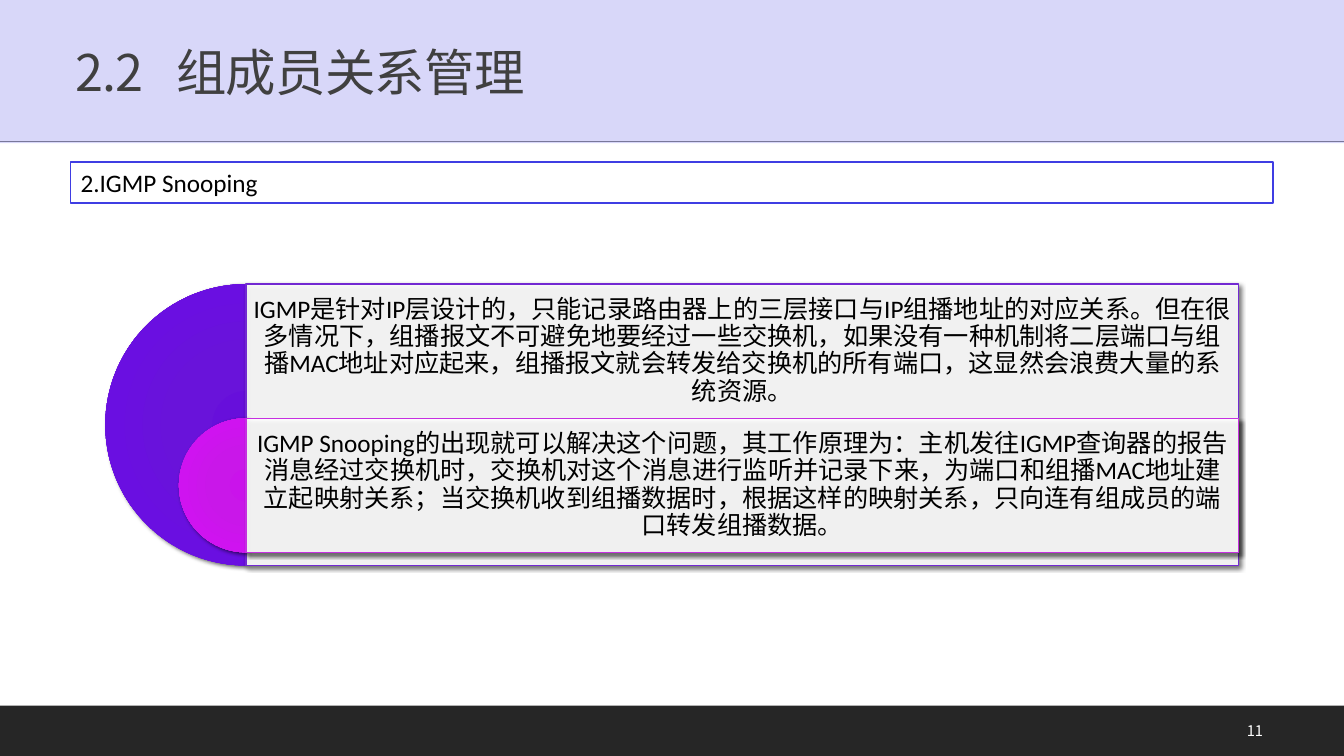
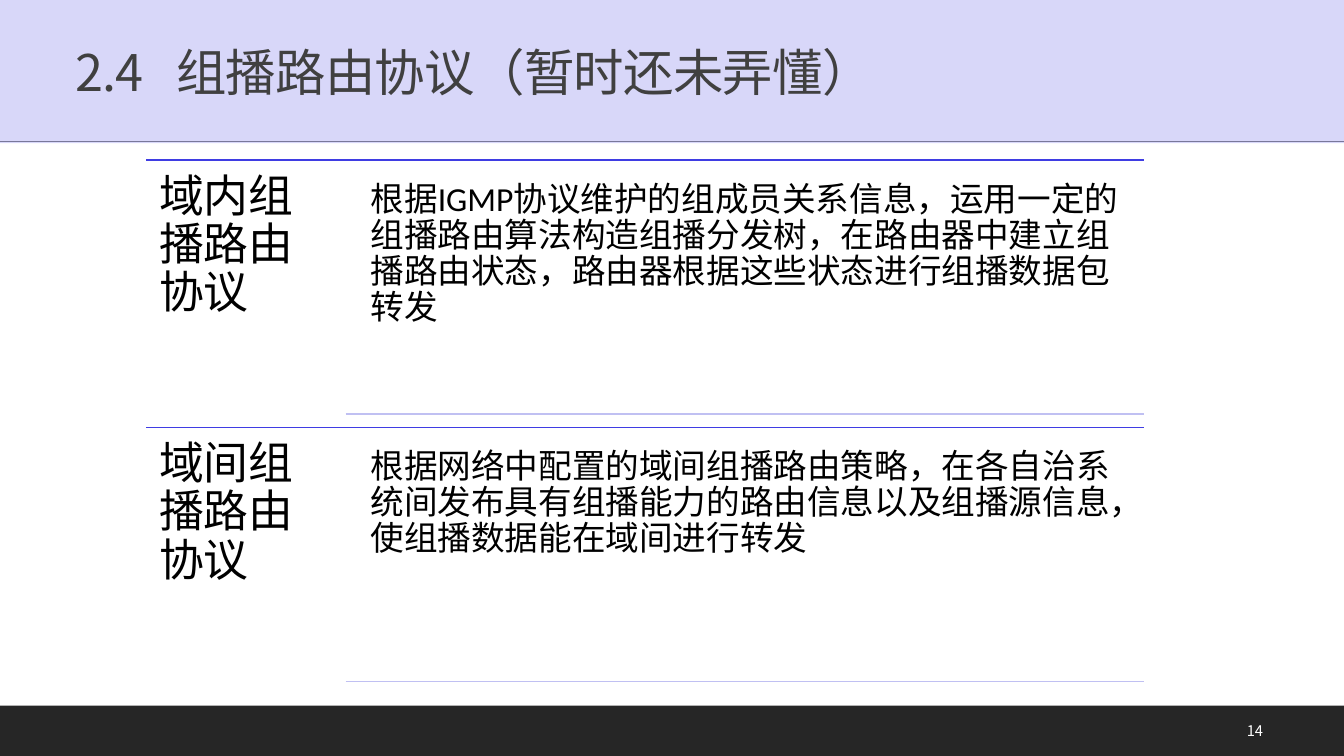
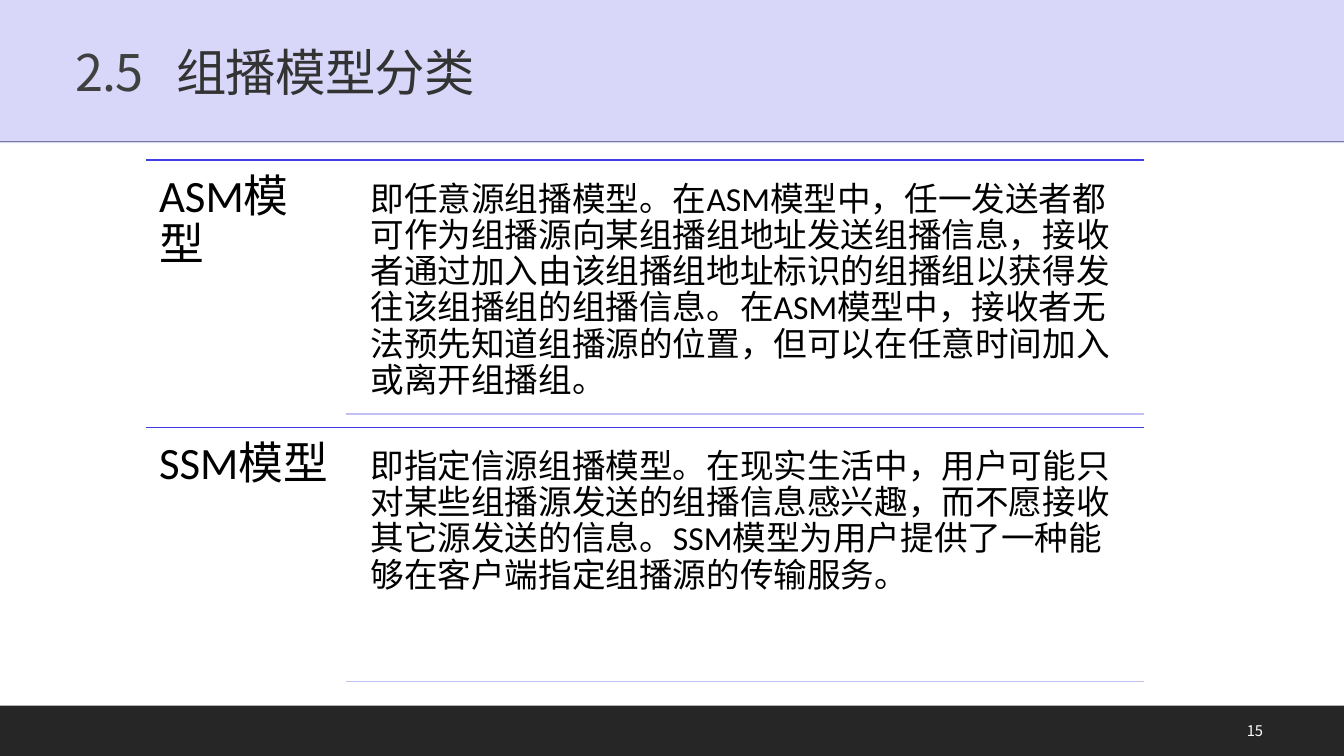
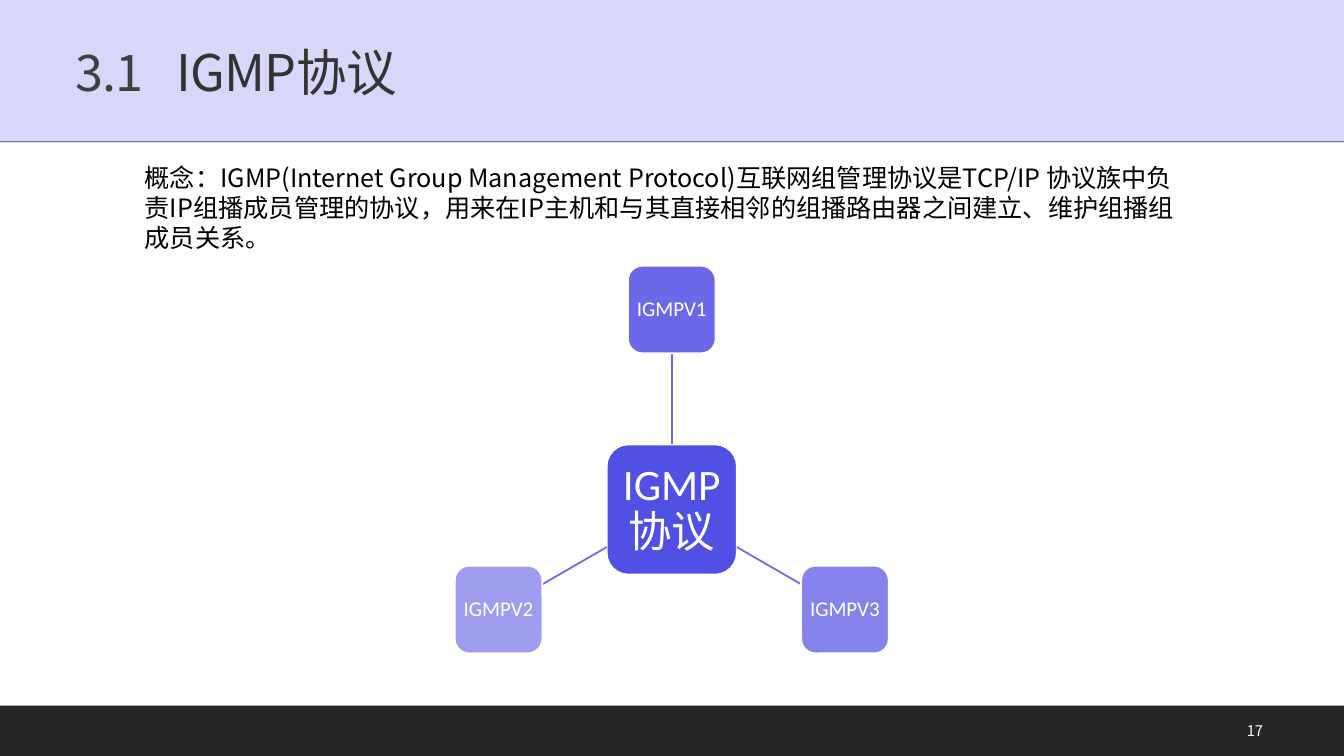
from math import cos, radians, sin

from pptx import Presentation
from pptx.dml.color import RGBColor
from pptx.enum.shapes import MSO_CONNECTOR, MSO_SHAPE
from pptx.enum.text import MSO_ANCHOR, MSO_AUTO_SIZE, PP_ALIGN
from pptx.oxml import parse_xml
from pptx.oxml.ns import nsdecls, qn
from pptx.util import Cm, Pt
from lxml import etree

STRAIGHT = MSO_CONNECTOR.STRAIGHT
RECT, ROUND, PIE = MSO_SHAPE.RECTANGLE, MSO_SHAPE.ROUNDED_RECTANGLE, MSO_SHAPE.PIE
LEFT, CENTER, RIGHT = PP_ALIGN.LEFT, PP_ALIGN.CENTER, PP_ALIGN.RIGHT
TOP, MIDDLE = MSO_ANCHOR.TOP, MSO_ANCHOR.MIDDLE

COLORS = {
    "white": "FFFFFF", "black": "000000", "footer": "262626",
    "title": "404040", "title_dark": "333333", "title_band": "B2B1F4",
    "blue": "3F3DE3", "pale_blue": "C0C0F2", "spoke": "6B6AE6",
    "violet": "7229D2", "magenta": "C62FE1",
}
SANS, BODY = "Noto Sans CJK SC", "Calibri"
WIDTH, HEIGHT = 33.87, 19.05


def style(shape, line=None, weight=1.25, fill=None, opacity=100, shadow=False):
    """Set outline, fill and shadow of a shape or connector."""
    if line:
        shape.line.color.rgb = RGBColor.from_string(COLORS[line])
        shape.line.width = Pt(weight)
    else:
        shape.line.fill.background()
    if fill:
        shape.fill.solid()
        shape.fill.fore_color.rgb = RGBColor.from_string(COLORS[fill])
        color = shape._element.spPr.find(qn("a:solidFill"))[0]
        etree.SubElement(color, qn("a:alpha"), val=str(opacity * 1000))
    effects = etree.SubElement(shape._element.spPr, qn("a:effectLst"))
    if shadow:
        outer = etree.SubElement(effects, qn("a:outerShdw"), blurRad=str(Pt(3)),
                                 dist=str(Pt(2)), dir="2700000", rotWithShape="0")
        black = etree.SubElement(outer, qn("a:srgbClr"), val=COLORS["black"])
        etree.SubElement(black, qn("a:alpha"), val="60000")


def write(shape, runs, size, font=BODY, align=LEFT, anchor=TOP,
          insets=(0.25, 0.13, 0.25, 0.13), spacing=0.9, tracking=0):
    """Fill a shape with one paragraph of (text, color) runs."""
    frame = shape.text_frame
    frame.word_wrap = True
    frame.auto_size = MSO_AUTO_SIZE.NONE
    frame.vertical_anchor = anchor
    (frame.margin_left, frame.margin_top,
     frame.margin_right, frame.margin_bottom) = [Cm(inset) for inset in insets]
    para = frame.paragraphs[0]
    para.alignment = align
    para.line_spacing = spacing
    for text, color in runs:
        span = para.add_run()
        span.text = text
        span.font.size = Pt(size)
        span.font.name = font
        span.font.color.rgb = RGBColor.from_string(COLORS[color])
        properties = span.font._element
        etree.SubElement(properties, qn("a:ea"), typeface=SANS)
        if tracking:
            properties.set("spc", str(tracking))


deck = Presentation()
deck.slide_width, deck.slide_height = Cm(WIDTH), Cm(HEIGHT)
layout = deck.slide_layouts[5]

# Pages with title and page number
pages = []
for section, heading, heading_color, number in [
    ("2.2", "组成员关系管理", "title", "11"),
    ("2.4", "组播路由协议（暂时还未弄懂）", "title", "14"),
    ("2.5", "组播模型分类", "title_dark", "15"),
    ("3.1", "IGMP协议", "title_dark", "17"),
]:
    page = deck.slides.add_slide(layout)
    title = page.shapes.title
    title.left, title.top, title.width, title.height = Cm(0), Cm(0), Cm(WIDTH), Cm(3.61)
    style(title, fill="title_band", opacity=50)
    write(title, [(section + "\t", "title"), (heading, heading_color)], 36, SANS,
          anchor=MIDDLE, insets=(1.9, 0.3, 0.25, 0.13), tracking=-50)
    box = page.shapes.add_textbox(Cm(30.35), Cm(17.91), Cm(1.73), Cm(1.02))
    write(box, [(number, "white")], 10.5, SANS, RIGHT, MIDDLE, spacing=1)
    pages.append(page)
snooping_page, routing_page, model_page, igmp_page = pages

# Footer band and title rule, moved to the shared layout
band = snooping_page.shapes.add_shape(RECT, Cm(0), Cm(17.78), Cm(WIDTH), Cm(1.27))
style(band, fill="footer")
rule = snooping_page.shapes.add_connector(STRAIGHT, Cm(0), Cm(3.56), Cm(WIDTH), Cm(3.56))
style(rule, "title", 1)
for part in (band, rule):
    layout.shapes._spTree.append(part._element)

# IGMP Snooping: heading box
box = snooping_page.shapes.add_shape(RECT, Cm(1.78), Cm(4.09), Cm(30.3), Cm(1.02))
style(box, "blue", fill="white")
write(box, [("2.IGMP Snooping", "black")], 18, spacing=1)

# IGMP Snooping: half discs with panels
PANEL_LEFT, PANEL_WIDTH, TEXT_HEIGHT = 6.2, 25.02, 3.38
for top, size, line, stops, text in [
    (7.16, 7.09, "violet", ("670FDB", "6913DA", "6A0FE1", "7121DA"),
     "IGMP是针对IP层设计的，只能记录路由器上的三层接口与IP组播地址的对应关系。"
     "但在很多情况下，组播报文不可避免地要经过一些交换机，如果没有一种机制将二层端口与组播MAC地址对应起来，"
     "组播报文就会转发给交换机的所有端口，这显然会浪费大量的系统资源。"),
    (10.54, 3.38, "magenta", ("CA13EB", "C917E9", "CF13F0", "CC26EA"),
     "IGMP Snooping的出现就可以解决这个问题，其工作原理为：主机发往IGMP查询器的报告消息经过交换机时，"
     "交换机对这个消息进行监听并记录下来，为端口和组播MAC地址建立起映射关系；"
     "当交换机收到组播数据时，根据这样的映射关系，只向连有组成员的端口转发组播数据。"),
]:
    disc = snooping_page.shapes.add_shape(PIE, Cm(PANEL_LEFT - size / 2), Cm(top),
                                          Cm(size), Cm(size))
    disc.adjustments[0], disc.adjustments[1] = 54, 162
    style(disc, fill=line, shadow=True)
    stop_xml = "".join(f'<a:gs pos="{position}000"><a:srgbClr val="{color}"/></a:gs>'
                       for position, color in zip((0, 34, 70, 100), stops))
    gradient = parse_xml(
        f'<a:gradFill {nsdecls("a")}><a:gsLst>{stop_xml}</a:gsLst><a:path path="circle">'
        '<a:fillToRect l="100000" t="100000" r="100000" b="100000"/></a:path></a:gradFill>')
    properties = disc._element.spPr
    properties.replace(properties.find(qn("a:solidFill")), gradient)

    panel = snooping_page.shapes.add_shape(RECT, Cm(PANEL_LEFT), Cm(top),
                                           Cm(PANEL_WIDTH), Cm(size))
    style(panel, line, 1, "white", 90, shadow=True)
    box = snooping_page.shapes.add_textbox(Cm(PANEL_LEFT), Cm(top),
                                           Cm(PANEL_WIDTH), Cm(TEXT_HEIGHT))
    write(box, [(text, "black")], 18, align=CENTER, anchor=MIDDLE, insets=[0.18] * 4)

# Routing protocols and multicast models: two ruled rows per page
ROW_TOP, ROW_STEP, ROW_LEFT, ROW_RIGHT = 4.04, 6.73, 3.68, 28.83
for page, rows in [
    (routing_page, [
        ("域内组播路由协议",
         "根据IGMP协议维护的组成员关系信息，运用一定的组播路由算法构造组播分发树，"
         "在路由器中建立组播路由状态，路由器根据这些状态进行组播数据包转发"),
        ("域间组播路由协议",
         "根据网络中配置的域间组播路由策略，在各自治系统间发布具有组播能力的路由信息以及组播源信息，"
         "使组播数据能在域间进行转发"),
    ]),
    (model_page, [
        ("ASM模型",
         "即任意源组播模型。在ASM模型中，任一发送者都可作为组播源向某组播组地址发送组播信息，"
         "接收者通过加入由该组播组地址标识的组播组以获得发往该组播组的组播信息。"
         "在ASM模型中，接收者无法预先知道组播源的位置，但可以在任意时间加入或离开组播组。"),
        ("SSM模型",
         "即指定信源组播模型。在现实生活中，用户可能只对某些组播源发送的组播信息感兴趣，"
         "而不愿接收其它源发送的信息。SSM模型为用户提供了一种能够在客户端指定组播源的传输服务。"),
    ]),
]:
    for index, (label, text) in enumerate(rows):
        top = ROW_TOP + index * ROW_STEP
        for left, y, color in [(ROW_LEFT, top, "blue"), (8.71, top + 6.4, "pale_blue")]:
            rule = page.shapes.add_connector(STRAIGHT, Cm(left), Cm(y), Cm(ROW_RIGHT), Cm(y))
            style(rule, color)
        box = page.shapes.add_textbox(Cm(ROW_LEFT), Cm(top), Cm(5.03), Cm(6.71))
        write(box, [(label, "black")], 32, insets=[0.33] * 4)
        box = page.shapes.add_textbox(Cm(9.09), Cm(top + 0.3), Cm(19.74), Cm(6.1))
        write(box, [(text, "black")], 24, insets=[0.25] * 4)

# IGMP: definition
box = igmp_page.shapes.add_textbox(Cm(3.4), Cm(3.96), Cm(26.95), Cm(2.57))
write(box, [("概念：IGMP(Internet Group Management Protocol)互联网组管理协议是TCP/IP 协议族中"
             "负责IP组播成员管理的协议，用来在IP主机和与其直接相邻的组播路由器之间建立、"
             "维护组播组成员关系。", "black")], 18, SANS, spacing=1)

# IGMP: hub with three versions around it
HUB_X, HUB_Y, RADIUS, HUB_SIZE, NODE_SIZE = 16.93, 12.84, 5.04, 3.28, 2.21
for label, angle, distance, size, opacity, points, inset in [
    ("IGMP协议", 0, 0, HUB_SIZE, 90, 31, 0.23),
    ("IGMPV1", -90, RADIUS, NODE_SIZE, 77, 15, 0.1),
    ("IGMPV3", 30, RADIUS, NODE_SIZE, 63, 15, 0.1),
    ("IGMPV2", 150, RADIUS, NODE_SIZE, 50, 15, 0.1),
]:
    across, down = cos(radians(angle)), sin(radians(angle))
    if distance:
        reach = max(abs(across), abs(down))
        start = HUB_SIZE / 2 / reach
        end = distance - size / 2 / reach
        spoke = igmp_page.shapes.add_connector(
            STRAIGHT, Cm(HUB_X + start * across), Cm(HUB_Y + start * down),
            Cm(HUB_X + end * across), Cm(HUB_Y + end * down))
        style(spoke, "spoke")
    node = igmp_page.shapes.add_shape(
        ROUND, Cm(HUB_X + distance * across - size / 2),
        Cm(HUB_Y + distance * down - size / 2), Cm(size), Cm(size))
    style(node, "white", fill="blue", opacity=opacity)
    write(node, [(label, "white")], points, align=CENTER, anchor=MIDDLE, insets=[inset] * 4)

deck.save("out.pptx")
